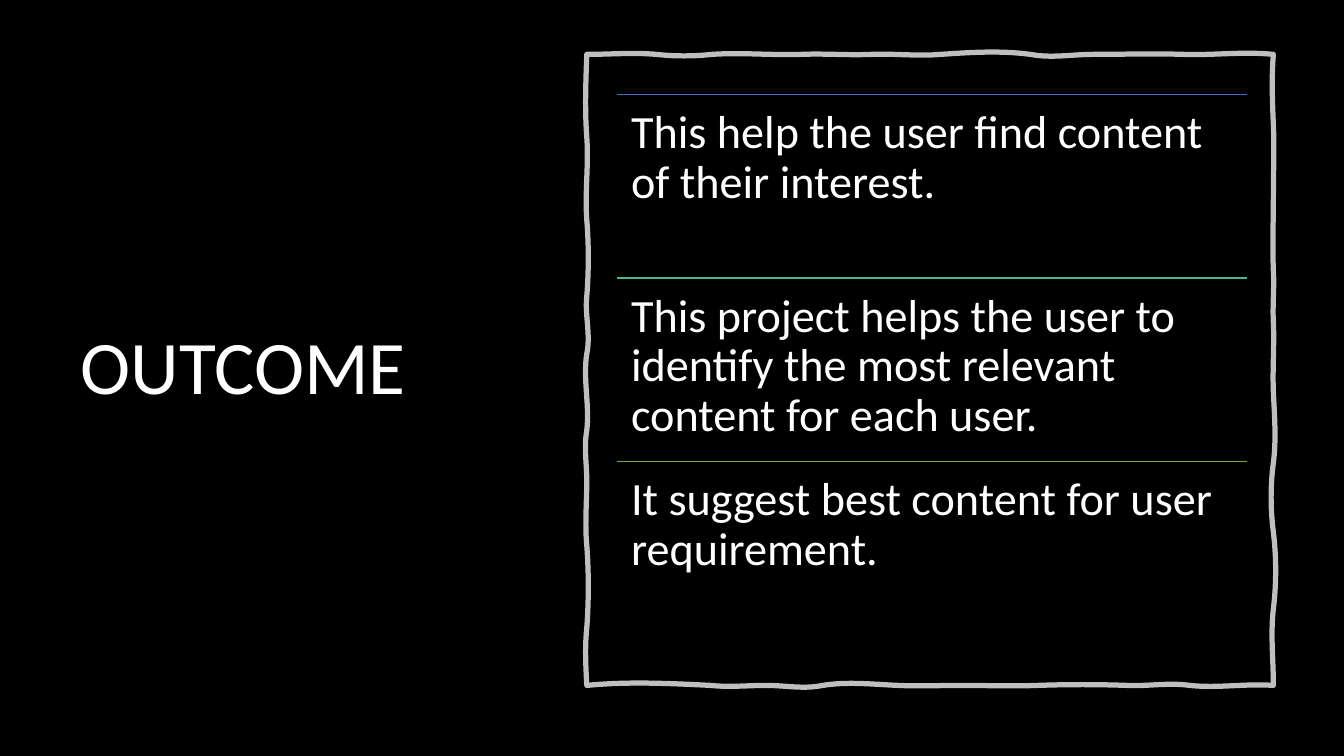
from dataclasses import dataclass

from lxml import etree
from pptx import Presentation, util as u
from pptx.dml.color import RGBColor
from pptx.enum import shapes, text
from pptx.oxml.ns import qn


@dataclass(frozen=True)
class Theme:
    font: str = "Calibri"
    ground: str = "000000"
    ink: str = "FFFFFF"
    rules: tuple = ("4472C4", "43BB8D", "70AD47")
    title_size: int = 54
    body_size: int = 33
    frame_line: float = 3.75
    frame_opacity: int = 75
    rule_line: int = 1


@dataclass(frozen=True)
class Side:
    """One wavy side of the frame; each wave is (where it ends, how far it sways before)."""
    level: int
    start: int
    first_sway: int
    waves: tuple
    upright: bool = False

    def point(self, along, sway=0):
        across_side = self.level + sway
        return (across_side, along) if self.upright else (along, across_side)

    def curve_points(self):
        """Two control points, at thirds of the wave, and the end point of every curve."""
        begin, sway_out = self.start, self.first_sway
        for end, sway_in in self.waves:
            third = (end - begin) / 3
            yield self.point(round(begin + third), sway_out)
            yield self.point(round(end - third), sway_in)
            yield self.point(end)
            begin, sway_out = end, -sway_in  # the next wave leaves the opposite way


THEME = Theme()
WIDTH, HEIGHT = u.Inches(13.33), u.Inches(7.5)

# Shares of the slide, in percent
TITLE_AREA = (5.25, 12.5, 33, 72.93)
LIST_LEFT, LIST_TOP, LIST_WIDTH, ROW_HEIGHT = 45.91, 12.5, 46.89, 24.27

OUTCOMES = (
    "This help the user find content of their interest.",
    "This project helps the user to identify the most relevant content for each user.",
    "It suggest best content for user requirement.",
)

# The frame is drawn clockwise on a grid of hundredths of an inch
FRAME_UNIT = u.Inches(0.01)
LEFT, TOP, RIGHT, BOTTOM = 582, 54, 1263, 680
FRAME_SIDES = (
    Side(TOP, LEFT, 0, (
        (651, -2), (706, 2), (795, 1), (864, 1), (933, 2),
        (1022, -4), (1084, 0), (1174, -1), (RIGHT, -3))),
    Side(RIGHT, TOP, -2, (
        (124, -1), (193, 0), (269, -1), (320, -1), (389, -1),
        (459, 3), (528, -3), (604, 3), (BOTTOM, 0)), upright=True),
    Side(BOTTOM, RIGHT, -2, (
        (1180, 3), (1118, 1), (1029, -1), (953, 0), (891, 1),
        (816, -4), (760, 0), (705, 2), (LEFT, -4))),
    Side(LEFT, BOTTOM, -1, (
        (623, -2), (541, 2), (477, 0), (427, -3), (351, -4),
        (294, -2), (218, 2), (136, 2), (TOP, -1)), upright=True),
)


def color(code):
    return RGBColor.from_string(code)


def across(share):
    return round(WIDTH * share / 100)


def down(share):
    return round(HEIGHT * share / 100)


def area(left, top, width, height):
    return across(left), down(top), across(width), down(height)


def write(box, words, *, size, anchor, inset):
    frame = box.text_frame
    frame.word_wrap = True
    frame.auto_size = text.MSO_AUTO_SIZE.NONE
    frame.vertical_anchor = anchor
    frame.margin_left = frame.margin_right = u.Inches(inset)
    frame.margin_top = frame.margin_bottom = u.Inches(inset)
    para = frame.paragraphs[0]
    para.alignment = text.PP_ALIGN.LEFT
    para.line_spacing = 0.9
    span = para.add_run()
    span.text = words
    span.font.name = THEME.font
    span.font.size = u.Pt(size)
    span.font.color.rgb = color(THEME.ink)


def add_title(page, words):
    title = page.shapes.title
    title.left, title.top, title.width, title.height = area(*TITLE_AREA)
    write(title, words, size=THEME.title_size, anchor=text.MSO_ANCHOR.MIDDLE, inset=0.1)


def bend(outline):
    """Turn each run of three line segments into one cubic curve."""
    segments = iter(list(outline.element.iter(qn("a:lnTo"))))
    for group in zip(segments, segments, segments):
        curve = etree.Element(qn("a:cubicBezTo"))
        group[0].addprevious(curve)
        for segment in group:
            curve.append(segment[0])
            segment.getparent().remove(segment)


def add_frame(page):
    builder = page.shapes.build_freeform(LEFT, TOP, scale=FRAME_UNIT)
    points = [point for side in FRAME_SIDES for point in side.curve_points()]
    builder.add_line_segments(points, close=True)
    outline = builder.convert_to_shape()
    bend(outline)
    outline.shadow.inherit = False
    outline.fill.background()
    outline.line.width = u.Pt(THEME.frame_line)
    outline.line.color.rgb = color(THEME.ink)
    ink = next(outline.element.spPr.iter(qn("a:srgbClr")))
    etree.SubElement(ink, qn("a:alpha"), val=str(THEME.frame_opacity * 1000))


def add_rule(page, top, code):
    start, end, level = across(LIST_LEFT), across(LIST_LEFT + LIST_WIDTH), down(top)
    rule = page.shapes.add_connector(shapes.MSO_CONNECTOR.STRAIGHT, start, level, end, level)
    rule.line.color.rgb = color(code)
    rule.line.width = u.Pt(THEME.rule_line)
    etree.SubElement(rule.element.spPr, qn("a:effectLst"))


def add_outcome(page, row, words, code):
    top = LIST_TOP + row * ROW_HEIGHT
    add_rule(page, top, code)
    box = page.shapes.add_textbox(*area(LIST_LEFT, top, LIST_WIDTH, ROW_HEIGHT))
    write(box, words, size=THEME.body_size, anchor=text.MSO_ANCHOR.TOP, inset=0.14)


def main():
    deck = Presentation()
    deck.slide_width, deck.slide_height = WIDTH, HEIGHT
    page = deck.slides.add_slide(deck.slide_layouts.get_by_name("Title Only"))
    page.background.fill.solid()
    page.background.fill.fore_color.rgb = color(THEME.ground)
    add_title(page, "OUTCOME")
    add_frame(page)
    for row, (words, code) in enumerate(zip(OUTCOMES, THEME.rules)):
        add_outcome(page, row, words, code)
    deck.save("out.pptx")


if __name__ == "__main__":
    main()
